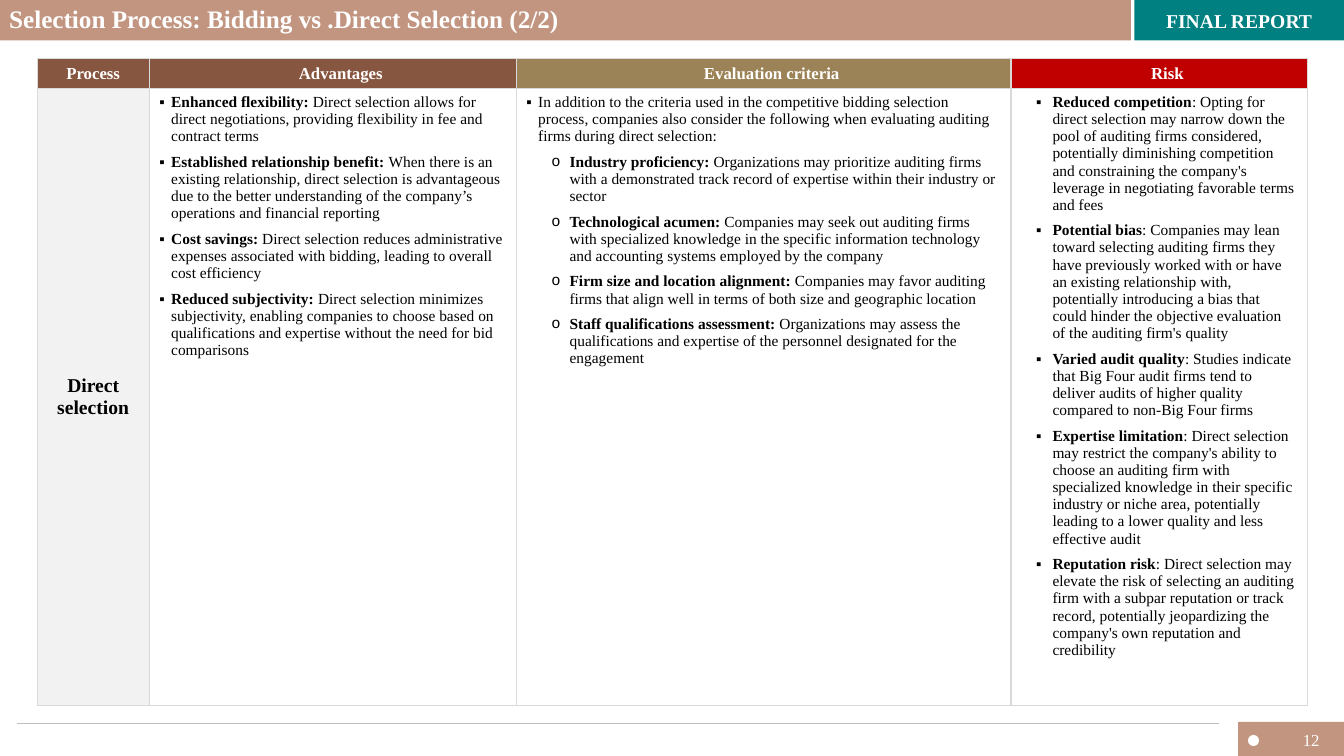
from lxml import etree
from pptx import Presentation
from pptx.dml.color import RGBColor
from pptx.enum.shapes import MSO_CONNECTOR, MSO_SHAPE
from pptx.enum.text import MSO_ANCHOR, MSO_AUTO_SIZE, PP_ALIGN
from pptx.oxml.ns import qn
from pptx.util import Cm, Pt

RECT, OVAL = MSO_SHAPE.RECTANGLE, MSO_SHAPE.OVAL
STRAIGHT = MSO_CONNECTOR.STRAIGHT
MIDDLE, TOP = MSO_ANCHOR.MIDDLE, MSO_ANCHOR.TOP
LEFT, CENTER = PP_ALIGN.LEFT, PP_ALIGN.CENTER
NO_FIT = MSO_AUTO_SIZE.NONE

WHITE = RGBColor(0xFF, 0xFF, 0xFF)
BLACK = RGBColor(0x00, 0x00, 0x00)
ROSE = RGBColor(0xC2, 0x95, 0x80)
TEAL = RGBColor(0x00, 0x80, 0x80)
BROWN = RGBColor(0x86, 0x56, 0x40)
OCHRE = RGBColor(0x9B, 0x83, 0x57)
RED = RGBColor(0xC0, 0x00, 0x00)
PALE = RGBColor(0xF2, 0xF2, 0xF2)
RULE = RGBColor(0xBF, 0xBF, 0xBF)
FACE = "Times New Roman"

SQUARE = ("▪", FACE, 0.3, 0.3)
CIRCLE = ("o", "Courier New", 1.09, 0.46)
INSET = ("▪", FACE, 0.79, 0.41)

HEADS = [("Process", 2.82, BROWN, 0), ("Advantages", 9.25, BROWN, 0.41),
         ("Evaluation criteria", 12.47, OCHRE, 0.41), ("Risk", 7.47, RED, 0.41)]
GAINS = [
    (SQUARE, "Enhanced flexibility: ", "Direct selection allows for direct negotiations, "
     "providing flexibility in fee and contract terms"),
    (SQUARE, "Established relationship benefit: ", "When there is an existing relationship, "
     "direct selection is advantageous due to the better understanding of the company’s "
     "operations and financial reporting"),
    (SQUARE, "Cost savings: ", "Direct selection reduces administrative expenses associated "
     "with bidding, leading to overall cost efficiency"),
    (SQUARE, "Reduced subjectivity: ", "Direct selection minimizes subjectivity, enabling "
     "companies to choose based on qualifications and expertise without the need for bid "
     "comparisons"),
]
TESTS = [
    (SQUARE, "", "In addition to the criteria used in the competitive bidding selection "
     "process, companies also consider the following when evaluating auditing firms during "
     "direct selection:"),
    (CIRCLE, "Industry proficiency: ", "Organizations may prioritize auditing firms with a "
     "demonstrated track record of expertise within their industry or sector"),
    (CIRCLE, "Technological acumen: ", "Companies may seek out auditing firms with "
     "specialized knowledge in the specific information technology and accounting systems "
     "employed by the company"),
    (CIRCLE, "Firm size and location alignment: ", "Companies may favor auditing firms that "
     "align well in terms of both size and geographic location"),
    (CIRCLE, "Staff qualifications assessment:", " Organizations may assess the "
     "qualifications and expertise of the personnel designated for the engagement"),
]
RISKS = [
    (INSET, "Reduced competition", ": Opting for direct selection may narrow down the pool of "
     "auditing firms considered, potentially diminishing competition and constraining the "
     "company's leverage in negotiating favorable terms and fees"),
    (INSET, "Potential bias", ": Companies may lean toward selecting auditing firms they have "
     "previously worked with or have an existing relationship with, potentially introducing "
     "a bias that could hinder the objective evaluation of the auditing firm's quality"),
    (INSET, "Varied audit quality", ": Studies indicate that Big Four audit firms tend to "
     "deliver audits of higher quality compared to non-Big Four firms"),
    (INSET, "Expertise limitation", ": Direct selection may restrict the company's ability to "
     "choose an auditing firm with specialized knowledge in their specific industry or niche "
     "area, potentially leading to a lower quality and less effective audit"),
    (INSET, "Reputation risk", ": Direct selection may elevate the risk of selecting an "
     "auditing firm with a subpar reputation or track record, potentially jeopardizing the "
     "company's own reputation and credibility"),
]


def assign(item, **form):
    """Set each given format value on the item."""
    for name, value in form.items():
        setattr(item, name, value)


def paint(item, color):
    """Give the item a solid fill."""
    item.fill.solid()
    item.fill.fore_color.rgb = color


def write(para, text, size, color, bold=True):
    """Add one run of text to the paragraph."""
    run = para.add_run()
    run.text = text
    assign(run.font, name=FACE, size=Pt(size), bold=bold)
    run.font.color.rgb = color
    return run


def block(slide, kind, box, color):
    """Draw a flat shape without outline."""
    shape = slide.shapes.add_shape(kind, *map(Cm, box))
    shape.shadow.inherit = False
    paint(shape, color)
    shape.line.fill.background()
    return shape


def header(slide, box):
    """Place the title bar and the report tag in the box."""
    left, top, width, height = box
    tag = 5.28
    title = slide.shapes.title
    assign(title, left=Cm(left), top=Cm(top), width=Cm(width - tag - 0.09), height=Cm(height))
    paint(title, ROSE)
    assign(title.text_frame, vertical_anchor=MIDDLE, word_wrap=True, auto_size=NO_FIT,
           margin_left=0, margin_right=0, margin_top=0, margin_bottom=0)
    para = title.text_frame.paragraphs[0]
    assign(para, alignment=LEFT, line_spacing=0.9)
    para._p.get_or_add_pPr().set("marL", str(Cm(0.23)))
    write(para, "Selection Process: Bidding vs .Direct Selection (2/2)", 18, WHITE)
    label = block(slide, RECT, (left + width - tag, top, tag, height), TEAL)
    label.text_frame.vertical_anchor = MIDDLE
    para = label.text_frame.paragraphs[0]
    para.alignment = CENTER
    write(para, "FINAL REPORT", 14, WHITE)


def edge(cell):
    """Draw thin grey borders on all sides of the cell."""
    props = cell._tc.get_or_add_tcPr()
    for spot, side in enumerate(("lnL", "lnR", "lnT", "lnB")):
        line = etree.Element(qn("a:" + side), w=str(Pt(1)))
        fill = etree.SubElement(line, qn("a:solidFill"))
        etree.SubElement(fill, qn("a:srgbClr"), val="D9D9D9")
        props.insert(spot, line)


def label(cell, text, size, color, shade, indent=0):
    """Fill a cell with a centred bold label."""
    paint(cell, shade)
    cell.vertical_anchor = MIDDLE
    para = cell.text_frame.paragraphs[0]
    para.alignment = CENTER
    para._p.get_or_add_pPr().set("marL", str(Cm(indent)))
    write(para, text, size, color)


def points(cell, items):
    """Fill a cell with bulleted points."""
    cell.fill.background()
    cell.vertical_anchor = TOP
    frame = cell.text_frame
    for spot, ((mark, face, indent, hang), lead, rest) in enumerate(items):
        para = frame.add_paragraph() if spot else frame.paragraphs[0]
        assign(para, level=int(mark == "o"), space_before=Pt(6 if spot else 0))
        props = para._p.get_or_add_pPr()
        props.set("marL", str(Cm(indent)))
        props.set("indent", str(-Cm(hang)))
        etree.SubElement(props, qn("a:buFont"), typeface=face)
        etree.SubElement(props, qn("a:buChar"), char=mark)
        if lead:
            write(para, lead, 11, BLACK)
        write(para, rest, 11, BLACK, False)


def matrix(slide, box):
    """Place the selection table in the box."""
    table = slide.shapes.add_table(2, len(HEADS), *map(Cm, box)).table
    assign(table, first_row=False, horz_banding=False)
    table.rows[0].height = Cm(0.74)
    table.rows[1].height = Cm(box[3] - 0.74)
    for col, (text, width, shade, indent) in enumerate(HEADS):
        table.columns[col].width = Cm(width)
        label(table.cell(0, col), text, 12, WHITE, shade, indent)
    label(table.cell(1, 0), "Direct selection", 14, BLACK, PALE)
    for col, items in enumerate((GAINS, TESTS, RISKS), 1):
        points(table.cell(1, col), items)
    for cell in table.iter_cells():
        edge(cell)


def footer(slide, box):
    """Place the rule, the corner block and the page number in the box."""
    left, top, width, height = box
    right = left + width
    rule = slide.shapes.add_connector(
        STRAIGHT, Cm(left + 0.43), Cm(top + 0.05), Cm(right - 3.16), Cm(top + 0.05))
    rule.line.color.rgb = RULE
    rule.line.width = Pt(0.5)
    etree.SubElement(rule._element.spPr, qn("a:effectLst"))
    block(slide, RECT, (right - 2.67, top, 2.67, height), ROSE)
    block(slide, OVAL, (right - 2.42, top + 0.33, 0.28, 0.28), WHITE)
    page = slide.shapes.add_textbox(Cm(right - 1.65), Cm(top + 0.07), Cm(1.65), Cm(0.76))
    page.text_frame.word_wrap = True
    para = page.text_frame.paragraphs[0]
    para.alignment = CENTER
    run = write(para, "12", 12, WHITE, False)._r
    field = etree.SubElement(para._p, qn("a:fld"), type="slidenum",
                             id="{B6F15528-21DE-4FAA-801E-634DDDAF4B2B}")
    field.extend(list(run))
    para._p.remove(run)


def main():
    """Build and save the slide."""
    deck = Presentation()
    assign(deck, slide_width=Cm(33.87), slide_height=Cm(19.05))
    deck.element.set("firstSlideNum", "12")
    slide = deck.slides.add_slide(deck.slide_layouts[5])
    footer(slide, (0, 18.19, 33.87, 0.86))
    header(slide, (0, 0, 33.87, 1.02))
    matrix(slide, (0.94, 1.47, 32, 14.48))
    deck.save("out.pptx")


if __name__ == "__main__":
    main()
